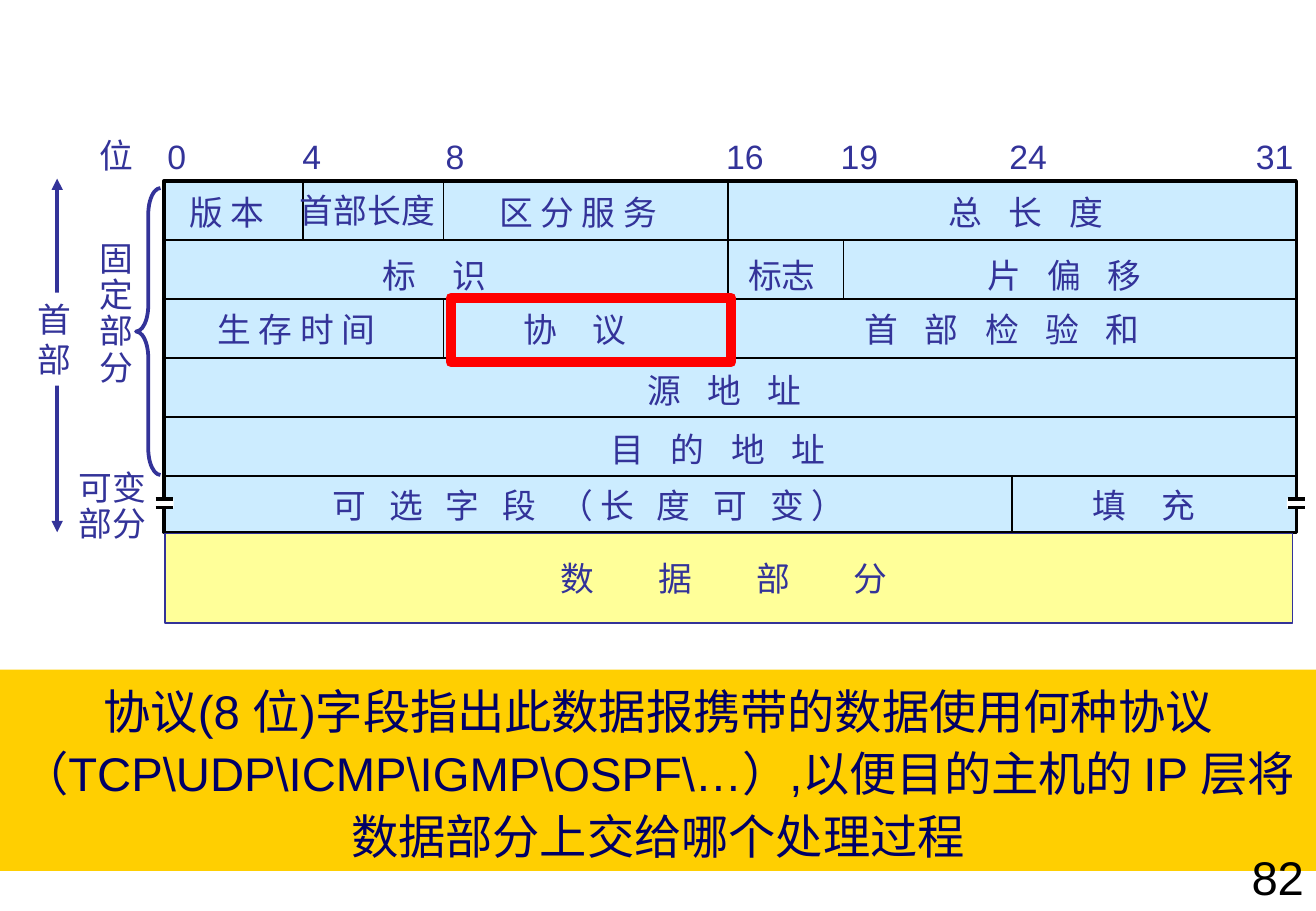
from dataclasses import dataclass
from lxml.etree import SubElement
from pptx import Presentation
from pptx.dml.color import RGBColor
from pptx.enum.shapes import MSO_CONNECTOR, MSO_SHAPE
from pptx.enum.text import MSO_ANCHOR, MSO_AUTO_SIZE, PP_ALIGN
from pptx.oxml.ns import qn
from pptx.shapes.autoshape import Shape
from pptx.shapes.connector import Connector
from pptx.slide import Slide
from pptx.util import Inches, Length, Pt

SLIDE_W, SLIDE_H = 10.83, 7.5
GRID_LEFT, GRID_TOP = 1.35, 1.49
BIT_W, ROW_H = 0.2912, 0.486
BITS, HEADER_ROWS = 32, 5.95
LABEL_ROWS = 0.88
SPACE_PT = 5.56  # width of one space at 20 pt
FONT = "Arial"
COLORS = {
    "ink": "333399", "black": "000000", "white": "FFFFFF", "header": "CCECFF",
    "data": "FFFF99", "banner": "FFCF01", "banner_text": "000066", "focus": "FF0000",
}


@dataclass(frozen=True)
class Area:
    """Left and width in bits, top and height in rows."""
    left: float
    top: float
    width: float
    height: float = LABEL_ROWS

    def box(self) -> tuple[Length, Length, Length, Length]:
        return (bit_x(self.left), row_y(self.top),
                Inches(self.width * BIT_W), Inches(self.height * ROW_H))


@dataclass(frozen=True)
class Label:
    text: str
    area: Area
    tracking: float = 0
    line_spacing: float = 1.0


@dataclass(frozen=True)
class Rule:
    """Straight line from (bit, row) to (bit, row)."""
    x1: float
    y1: float
    x2: float
    y2: float
    color: str = "black"
    weight: float = 1


THREE, FOUR, SEVEN = SPACE_PT, 1.5 * SPACE_PT, 3 * SPACE_PT

FIELDS = [
    Label("版 本", Area(0.38, 0.08, 2.88)),
    Label("首部长度", Area(3.5, 0.04, 4.53)),
    Label("区 分 服 务", Area(9.13, 0.08, 5.32)),
    Label("总 长 度", Area(21.84, 0.08, 5.15), THREE),
    Label("标 识", Area(5.84, 1.15, 3.67), FOUR),
    Label("标志", Area(16.17, 1.15, 2.61)),
    Label("片 偏 移", Area(22.94, 1.15, 5.15), THREE),
    Label("生 存 时 间", Area(1.17, 2.06, 5.32)),
    Label("协 议", Area(9.82, 2.06, 3.67), FOUR),
    Label("首 部 检 验 和", Area(19.47, 2.06, 8.69), THREE),
    Label("源 地 址", Area(13.32, 3.09, 5.15), THREE),
    Label("目 的 地 址", Area(12.29, 4.09, 6.94), THREE),
    Label("可 选 字 段 （长 度 可 变）", Area(4.43, 5.04, 15.62), 4.5),
    Label("填 充", Area(25.89, 5.04, 3.67), FOUR),
    Label("数 据 部 分", Area(10.88, 6.28, 11.85), SEVEN),
]
SIDE_LABELS = [
    Label("位", Area(-2.16, -0.88, 1.65)),
    Label("固\n定\n部\n分", Area(-2.16, 0.93, 1.65, 2.7), line_spacing=0.9),
    Label("可变\n部分", Area(-2.75, 4.81, 2.61, 1.44), line_spacing=0.9),
]
BIT_NUMBERS = {0: -0.24, 4: 3.57, 8: 7.62, 16: 15.55, 19: 18.78, 24: 23.55, 31: 30.52}
BIT_LABELS = [Label(str(bit), Area(left, -0.86, 1.24 if bit < 10 else 1.75))
              for bit, left in BIT_NUMBERS.items()]

ROW_RULES = [Rule(0, row, BITS, row) for row in range(1, 6)]
FIELD_RULES = [Rule(bit, top, bit, bottom) for bit, top, bottom in (
    (3.92, 0, 1), (7.9, 0, 1), (7.9, 2, 3), (15.93, 0, 3),
    (19.2, 1, 2), (23.97, 5, HEADER_ROWS))]


def bit_x(bit: float) -> Length:
    return Inches(GRID_LEFT + bit * BIT_W)


def row_y(row: float) -> Length:
    return Inches(GRID_TOP + row * ROW_H)


def share_box(left: float, top: float, width: float, height: float) -> tuple[Length, ...]:
    """Turn shares of the slide's size into lengths."""
    return (Inches(left * SLIDE_W), Inches(top * SLIDE_H),
            Inches(width * SLIDE_W), Inches(height * SLIDE_H))


def rgb(color: str) -> RGBColor:
    return RGBColor.from_string(COLORS[color])


def write(shape: Shape, text: str, *, size: float = 20, color: str = "ink",
          align: PP_ALIGN = PP_ALIGN.LEFT, anchor: MSO_ANCHOR = MSO_ANCHOR.TOP,
          line_spacing: float = 1.0, tracking: float = 0, wrap: bool = False,
          fit: MSO_AUTO_SIZE = MSO_AUTO_SIZE.SHAPE_TO_FIT_TEXT) -> None:
    frame = shape.text_frame
    frame.text = text
    frame.word_wrap = wrap
    frame.auto_size = fit
    frame.vertical_anchor = anchor
    for paragraph in frame.paragraphs:
        paragraph.alignment = align
        paragraph.line_spacing = line_spacing
        for run in paragraph.runs:
            run.font.name = FONT
            run.font.size = Pt(size)
            run.font.color.rgb = rgb(color)
            if tracking:
                run._r.get_or_add_rPr().set("spc", str(round(tracking * 100)))


def add_label(slide: Slide, label: Label) -> None:
    write(slide.shapes.add_textbox(*label.area.box()), label.text,
          tracking=label.tracking, line_spacing=label.line_spacing)


def add_block(slide: Slide, box: tuple[Length, ...], *, fill: str | None = None,
              line: str | None = None, weight: float = 1,
              kind: MSO_SHAPE = MSO_SHAPE.RECTANGLE) -> Shape:
    block = slide.shapes.add_shape(kind, *box)
    block.shadow.inherit = False
    if fill:
        block.fill.solid()
        block.fill.fore_color.rgb = rgb(fill)
    else:
        block.fill.background()
    if line:
        block.line.color.rgb = rgb(line)
        block.line.width = Pt(weight)
    else:
        block.line.fill.background()
    return block


def add_rule(slide: Slide, rule: Rule) -> Connector:
    line = slide.shapes.add_connector(MSO_CONNECTOR.STRAIGHT, bit_x(rule.x1), row_y(rule.y1),
                                      bit_x(rule.x2), row_y(rule.y2))
    line.line.color.rgb = rgb(rule.color)
    line.line.width = Pt(rule.weight)
    SubElement(line._element.spPr, qn("a:effectLst"))
    return line


def add_header_extent(slide: Slide) -> None:
    extent = add_rule(slide, Rule(-3.02, -0.04, -3.02, HEADER_ROWS, "ink", 2.25))
    for end in ("a:headEnd", "a:tailEnd"):
        SubElement(extent.line._get_or_add_ln(), qn(end), type="triangle")
    caption = add_block(slide, Area(-3.91, 1.89, 1.65, 1.58).box(), fill="white")
    write(caption, "首\n部")


def add_break_mark(slide: Slide, bit: float) -> None:
    add_block(slide, Area(bit - 0.27, 5.38, 0.54, 0.16).box(), fill="white")
    for row in (5.39, 5.53):
        add_rule(slide, Rule(bit - 0.24, row, bit + 0.24, row, weight=2))


def main() -> None:
    deck = Presentation()
    deck.slide_width, deck.slide_height = Inches(SLIDE_W), Inches(SLIDE_H)
    slide = deck.slides.add_slide(deck.slide_layouts[6])

    add_header_extent(slide)
    add_block(slide, Area(0, 0, BITS, HEADER_ROWS).box(), fill="header", line="black", weight=2)
    add_block(slide, Area(0.03, 5.97, 31.86, 1.52).box(), fill="data", line="ink")
    for rule in ROW_RULES + FIELD_RULES:
        add_rule(slide, rule)
    for label in BIT_LABELS + FIELDS + SIDE_LABELS:
        add_label(slide, label)
    for edge in (0, BITS):
        add_break_mark(slide, edge)

    banner = add_block(slide, share_box(0, 0.735, 1, 0.221), fill="banner")
    write(banner, "协议(8 位)字段指出此数据报携带的数据使用何种协议"
          "（TCP\\UDP\\ICMP\\IGMP\\OSPF\\…）,以便目的主机的 IP 层将数据部分上交给哪个处理过程",
          size=28, color="banner_text", align=PP_ALIGN.CENTER, anchor=MSO_ANCHOR.MIDDLE,
          line_spacing=1.1, wrap=True, fit=MSO_AUTO_SIZE.NONE)
    add_block(slide, Area(8.1, 1.98, 7.93, 1.09).box(), line="focus", weight=6)
    brace = add_block(slide, Area(-0.79, 0.12, 0.69, 4.86).box(), line="ink", weight=2.25,
                      kind=MSO_SHAPE.LEFT_BRACE)
    brace.adjustments[0] = 1.08

    page_number = slide.shapes.add_textbox(*share_box(0.914, 0.927, 0.086, 0.073))
    write(page_number, "82", size=28, color="black", align=PP_ALIGN.RIGHT,
          anchor=MSO_ANCHOR.BOTTOM, wrap=True, fit=MSO_AUTO_SIZE.NONE)
    deck.save("out.pptx")


if __name__ == "__main__":
    main()
